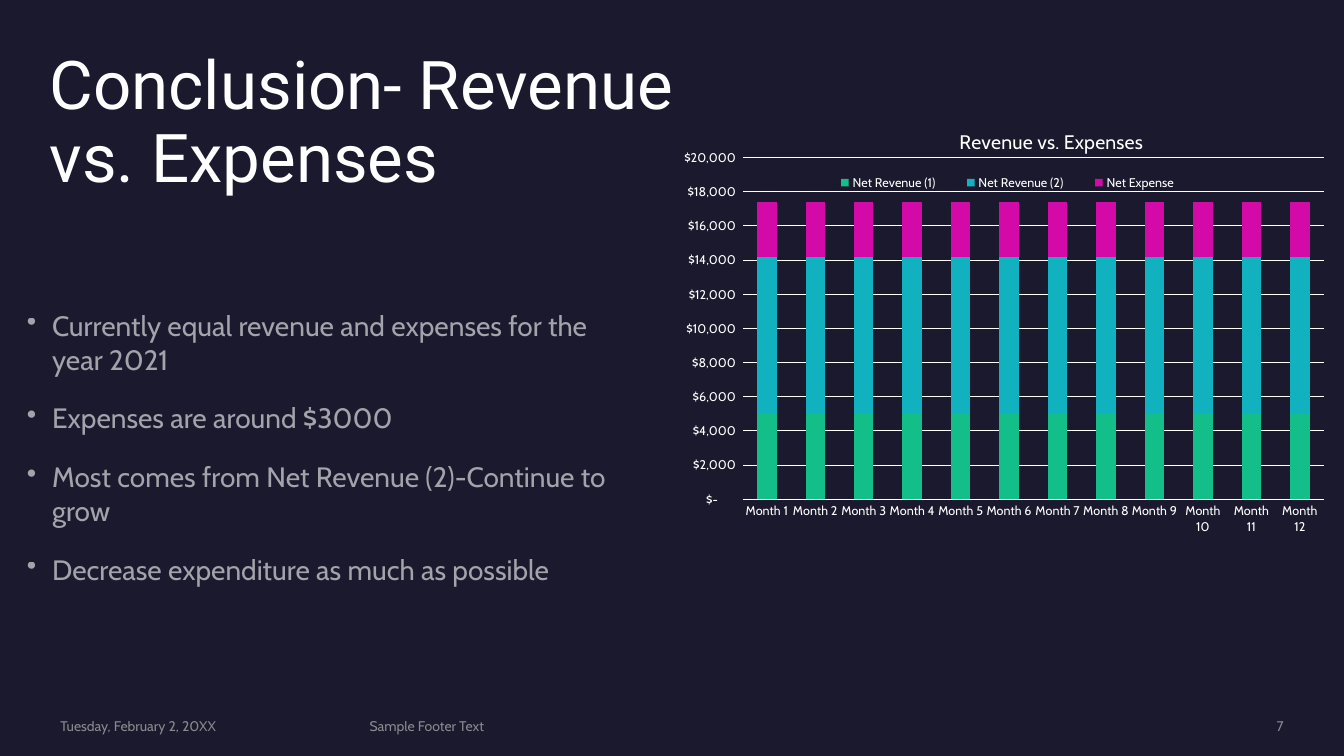
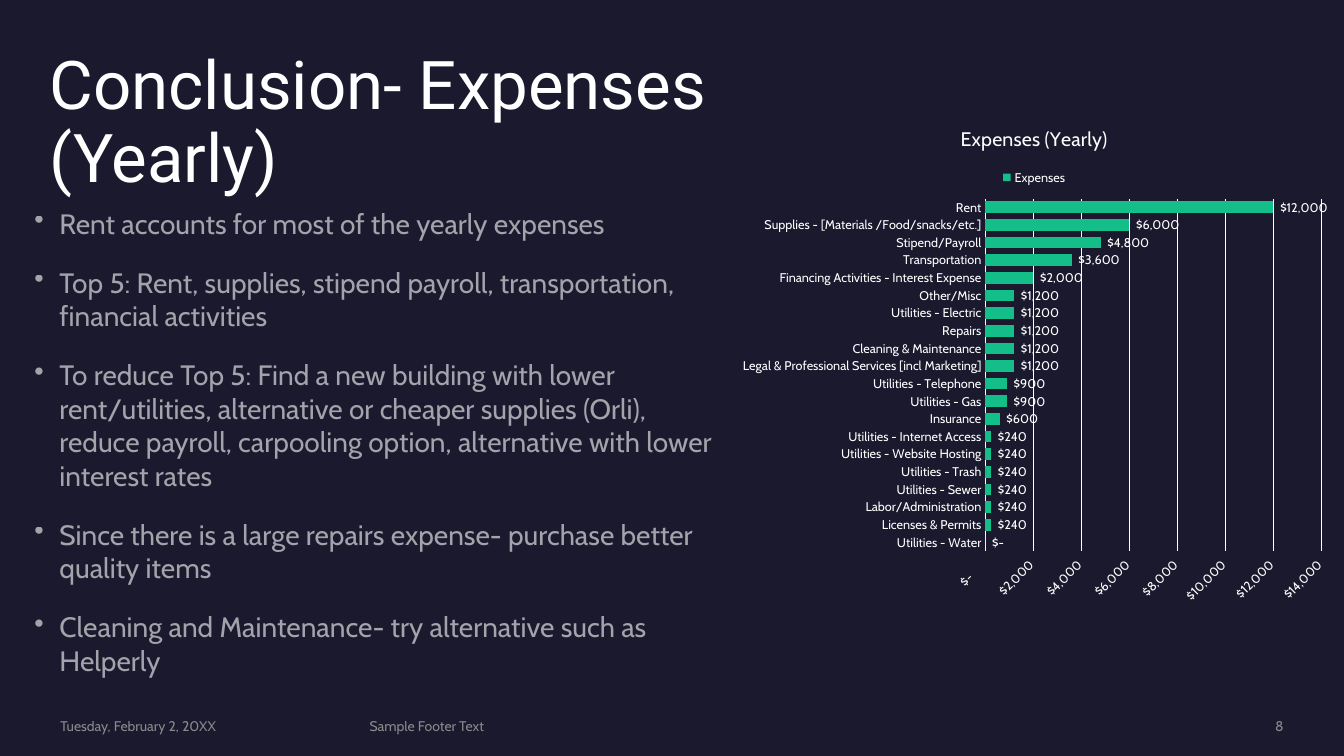
from lxml.etree import SubElement
from pptx import Presentation
from pptx.chart.data import CategoryChartData as Data
from pptx.dml.color import RGBColor as Color
from pptx.enum.chart import XL_CHART_TYPE as Kind
from pptx.enum.chart import XL_LABEL_POSITION as Spot
from pptx.enum.chart import XL_LEGEND_POSITION as Side
from pptx.enum.chart import XL_TICK_MARK as Tick
from pptx.enum.text import MSO_ANCHOR as Anchor
from pptx.enum.text import PP_ALIGN as Align
from pptx.oxml import parse_xml
from pptx.oxml.ns import nsdecls, qn
from pptx.util import Inches, Pt

WIDE, HIGH = Inches(13.33), Inches(7.5)
NIGHT = Color(0x1B, 0x19, 0x2E)
WHITE = Color(0xFF, 0xFF, 0xFF)
GREY = Color(0xA6, 0xA6, 0xA6)
GREEN = Color(0x13, 0xBE, 0x89)
TEAL = Color(0x12, 0xB1, 0xBF)
PINK = Color(0xD4, 0x0A, 0xA8)
HEAD, BODY = "Roboto", "Cabin"
MONEY = '_("$"* #,##0_);_("$"* \\(#,##0\\);_("$"* "-"??_);_(@_)'
INDENT = Inches(0.25)
FOOT = [
    (4.5, 21.6, Align.LEFT, "Tuesday, February 2, 20XX"),
    (27.5, 52.4, Align.LEFT, "Sample Footer Text"),
]

SALES_POINTS = [
    "Currently equal revenue and expenses for the year 2021",
    "Expenses are around $3000",
    "Most comes from Net Revenue (2)-Continue to grow",
    "Decrease expenditure as much as possible",
]
COST_POINTS = [
    "Rent accounts for most of the yearly expenses",
    "Top 5: Rent, supplies, stipend payroll, transportation, financial activities",
    "To reduce Top 5: Find a new building with lower rent/utilities, alternative "
    "or cheaper supplies (Orli), reduce payroll, carpooling option, alternative "
    "with lower interest rates",
    "Since there is a large repairs expense- purchase better quality items",
    "Cleaning and Maintenance- try alternative such as Helperly",
]
MONTHS = [f"Month {n}" for n in range(1, 13)]
SALES = [
    ("Net Revenue (1)", [5000] * 12, GREEN),
    ("Net Revenue (2)", [9200] * 12, TEAL),
    ("Net Expense", [3200] * 12, PINK),
]
COSTS = {
    "Utilities - Water": 0,
    "Licenses & Permits": 240,
    "Labor/Administration": 240,
    "Utilities - Sewer": 240,
    "Utilities - Trash": 240,
    "Utilities - Website Hosting": 240,
    "Utilities - Internet Access": 240,
    "Insurance": 600,
    "Utilities - Gas": 900,
    "Utilities - Telephone": 900,
    "Legal & Professional Services [incl Marketing]": 1200,
    "Cleaning & Maintenance": 1200,
    "Repairs": 1200,
    "Utilities - Electric": 1200,
    "Other/Misc": 1200,
    "Financing Activities - Interest Expense": 2000,
    "Transportation": 3600,
    "Stipend/Payroll": 4800,
    "Supplies - [Materials /Food/snacks/etc.]": 6000,
    "Rent": 12000,
}


def share(left, top, wide, high):
    return [
        round(whole * part / 100)
        for whole, part in zip((WIDE, HIGH, WIDE, HIGH), (left, top, wide, high))
    ]


def style(font, size, color=WHITE, name=BODY):
    font.size, font.name, font.bold = Pt(size), name, False
    font.color.rgb = color


def fade(para, part):
    tone = para._p.pPr.find(".//" + qn("a:srgbClr"))
    SubElement(tone, qn("a:alpha")).set("val", str(part * 1000))


def add_text(slide, box, lines, size, color=WHITE, name=BODY):
    frame = slide.shapes.add_textbox(*share(*box)).text_frame
    frame.word_wrap = True
    frame.margin_left = frame.margin_right = 0
    frame.margin_top = frame.margin_bottom = 0
    frame.text = "\n".join(lines)
    for para in frame.paragraphs:
        style(para.font, size, color, name)
    return frame


def add_title(slide, box, text):
    frame = add_text(slide, box, [text], 48, name=HEAD)
    frame.paragraphs[0].line_spacing = 0.9


def add_points(slide, box, lines):
    for para in add_text(slide, box, lines, 20).paragraphs:
        para.space_before, para.space_after = Pt(10), Pt(8)
        fade(para, 60)
        props = para._p.pPr
        props.set("marL", str(INDENT))
        props.set("indent", str(-INDENT))
        mark = parse_xml(f'<a:buChar {nsdecls("a")} char="•"/>')
        props.find(qn("a:defRPr")).addprevious(mark)


def add_foot(slide, page):
    for left, wide, side, text in FOOT + [(81.6, 13.9, Align.RIGHT, str(page))]:
        frame = add_text(slide, (left, 94.93, wide, 2.27), [text], 10, GREY)
        frame.vertical_anchor = Anchor.MIDDLE
        para = frame.paragraphs[0]
        para.alignment = side
        fade(para, 80)


def place(node, index, spot, inner=False):
    for old in node.findall(qn("c:layout")):
        node.remove(old)
    frame = parse_xml(f'<c:layout {nsdecls("c")}><c:manualLayout/></c:layout>')
    items = [("layoutTarget", "inner")] if inner else []
    items += [("xMode", "edge"), ("yMode", "edge"), *zip("xywh", spot)]
    for tag, value in items:
        SubElement(frame[0], qn(f"c:{tag}")).set("val", str(value))
    node.insert(index, frame)


def add_chart(slide, box, kind, title, cats, series, gap, top, side, plot_box):
    data = Data(number_format=MONEY)
    data.categories = cats
    for name, values, _ in series:
        data.add_series(name, values)
    chart = slide.shapes.add_chart(kind, *share(*box), data).chart
    style(chart.font, 10)
    chart.has_title = True
    chart.chart_title.text_frame.text = title
    style(chart.chart_title.text_frame.paragraphs[0].font, 14)
    chart.has_legend = True
    chart.legend.position = side
    chart.legend.include_in_layout = False
    style(chart.legend.font, 9)
    plot = chart.plots[0]
    plot.vary_by_categories = False
    plot.gap_width = gap
    for item, (_, _, color) in zip(plot.series, series):
        item.format.fill.solid()
        item.format.fill.fore_color.rgb = color
    for axis in (chart.category_axis, chart.value_axis):
        axis.major_tick_mark = axis.minor_tick_mark = Tick.NONE
        style(axis.tick_labels.font, 9)
    scale = chart.value_axis
    scale.minimum_scale, scale.maximum_scale, scale.major_unit = 0, top, 2000
    scale.tick_labels.number_format = MONEY
    scale.tick_labels.number_format_is_linked = False
    scale.format.line.fill.background()
    scale.has_major_gridlines = True
    for line in (chart.category_axis.format.line, scale.major_gridlines.format.line):
        line.color.rgb = WHITE
        line.width = Pt(0.75)
    place(chart._chartSpace.chart.plotArea, 0, plot_box, True)
    return chart


def add_sales(slide):
    chart = add_chart(
        slide, (50.7, 15.9, 48.3, 55.1), Kind.COLUMN_STACKED,
        "Revenue vs. Expenses", MONTHS, SALES, 150, 20000,
        Side.BOTTOM, (0.1, 0.09, 0.9, 0.82),
    )
    chart.plots[0].overlap = 100
    place(chart._chartSpace.chart.plotArea, 0, (0.09, 0.09, 0.9, 0.82), True)
    place(chart.chart_title._element, 1, (0.42, 0.01))
    place(chart.legend._element, 1, (0.2, 0.12, 0.6, 0.06))


def add_costs(slide):
    chart = add_chart(
        slide, (54.2, 14.1, 45.5, 67.6), Kind.BAR_CLUSTERED,
        "Expenses (Yearly)", list(COSTS), [("Expenses", list(COSTS.values()), GREEN)],
        50, 14000, Side.TOP, (0.42, 0.18, 0.55, 0.69),
    )
    chart.value_axis._element.txPr.bodyPr.set("rot", "-2700000")
    plot = chart.plots[0]
    plot.has_data_labels = True
    labels = plot.data_labels
    labels.show_value = True
    labels.position = Spot.OUTSIDE_END
    labels.number_format = MONEY
    labels.number_format_is_linked = False
    style(labels.font, 9)


def main():
    deck = Presentation()
    deck.slide_width, deck.slide_height = WIDE, HIGH
    back = deck.slide_master.background.fill
    back.solid()
    back.fore_color.rgb = NIGHT
    pages = [
        ("Conclusion- Revenue vs. Expenses", (3.7, 6.8, 50.3, 27.9),
         SALES_POINTS, (2, 40.8, 45.8, 46.1), add_sales),
        ("Conclusion- Expenses (Yearly)", (3.7, 6.8, 49.3, 22.8),
         COST_POINTS, (2.55, 27.3, 51.7, 67.6), add_costs),
    ]
    for page, (title, top, points, box, draw) in enumerate(pages, 7):
        slide = deck.slides.add_slide(deck.slide_layouts[6])
        add_title(slide, top, title)
        add_foot(slide, page)
        add_points(slide, box, points)
        draw(slide)
    deck.save("out.pptx")


if __name__ == "__main__":
    main()
